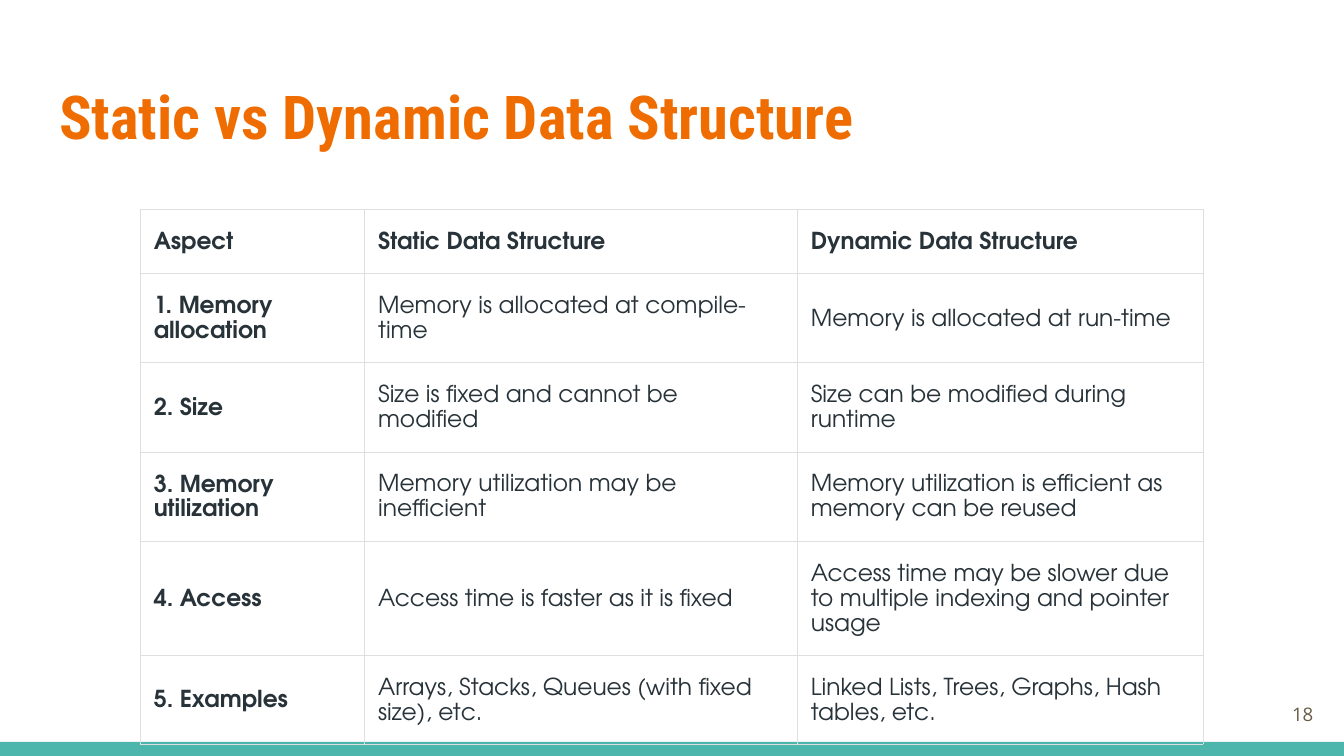
from lxml import etree
from pptx import Presentation
from pptx.dml.color import RGBColor
from pptx.enum.shapes import MSO_SHAPE
from pptx.enum.text import MSO_ANCHOR, PP_ALIGN
from pptx.oxml.ns import qn
from pptx.util import Inches, Pt

RECTANGLE = MSO_SHAPE.RECTANGLE
TOP, MIDDLE = MSO_ANCHOR.TOP, MSO_ANCHOR.MIDDLE
LEFT, RIGHT = PP_ALIGN.LEFT, PP_ALIGN.RIGHT
TITLE_ONLY_LAYOUT = 5

COLORS = {
    "title": "EF6C00",
    "bar": "4DB6AC",
    "table_text": "273239",
    "border": "DFDFDF",
    "number": "695D46",
}
COLUMN_WIDTHS = (1.67, 3.22, 3.02)
ROW_HEIGHT = 0.42
ROWS = [
    ("Aspect", "Static Data Structure", "Dynamic Data Structure"),
    ("1. Memory allocation", "Memory is allocated at compile-time",
     "Memory is allocated at run-time"),
    ("2. Size", "Size is fixed and cannot be modified",
     "Size can be modified during runtime"),
    ("3. Memory utilization", "Memory utilization may be inefficient",
     "Memory utilization is efficient as memory can be reused"),
    ("4. Access", "Access time is faster as it is fixed",
     "Access time may be slower due to multiple indexing and pointer usage"),
    ("5. Examples", "Arrays, Stacks, Queues (with fixed size), etc.",
     "Linked Lists, Trees, Graphs, Hash tables, etc."),
]


def color(name):
    return RGBColor.from_string(COLORS[name])


def style_paragraph(paragraph, font_name, size, color_name, bold=False, align=LEFT):
    paragraph.alignment = align
    font = paragraph.font
    font.name, font.size, font.bold = font_name, Pt(size), bold
    font.color.rgb = color(color_name)


def fill_frame(frame, text, anchor):
    """Put text in a wrapping frame with equal insets; return its paragraph."""
    frame.text = text
    frame.word_wrap = True
    frame.vertical_anchor = anchor
    frame.margin_left = frame.margin_right = Inches(0.1)
    frame.margin_top = frame.margin_bottom = Inches(0.1)
    return frame.paragraphs[0]


def add_bottom_bar(slide, left, top, width, height):
    bar = slide.shapes.add_shape(
        RECTANGLE, Inches(left), Inches(top), Inches(width), Inches(height))
    bar.shadow.inherit = False
    bar.fill.solid()
    bar.fill.fore_color.rgb = color("bar")
    bar.line.fill.background()


def place_title(slide, left, top, width, height, text):
    title = slide.shapes.title
    title.left, title.top = Inches(left), Inches(top)
    title.width, title.height = Inches(width), Inches(height)
    paragraph = fill_frame(title.text_frame, text, TOP)
    style_paragraph(paragraph, "Roboto Condensed", 32.4, "title", bold=True)


def set_borders(cell, color_name, width):
    properties = cell._tc.get_or_add_tcPr()
    for side in ("a:lnL", "a:lnR", "a:lnT", "a:lnB"):
        line = etree.SubElement(properties, qn(side), w=str(Pt(width)))
        fill = etree.SubElement(line, qn("a:solidFill"))
        etree.SubElement(fill, qn("a:srgbClr"), val=COLORS[color_name])


def add_comparison_table(slide, left, top):
    frame = slide.shapes.add_table(
        len(ROWS), len(COLUMN_WIDTHS), Inches(left), Inches(top),
        Inches(sum(COLUMN_WIDTHS)), Inches(ROW_HEIGHT * len(ROWS)))
    table = frame.table
    table.horz_banding = False
    table.first_row = False
    for column, width in zip(table.columns, COLUMN_WIDTHS):
        column.width = Inches(width)
    for row_index, texts in enumerate(ROWS):
        table.rows[row_index].height = Inches(ROW_HEIGHT)
        for column_index, text in enumerate(texts):
            cell = table.cell(row_index, column_index)
            cell.text = text
            cell.vertical_anchor = MIDDLE
            cell.margin_left = cell.margin_right = Pt(7.5)
            cell.margin_top = cell.margin_bottom = Pt(10.5)
            set_borders(cell, "border", 0.22)
            cell.fill.background()
            paragraph = cell.text_frame.paragraphs[0]
            paragraph.line_spacing = 1.15
            is_heading = row_index == 0 or column_index == 0
            style_paragraph(paragraph, "TeX Gyre Adventor", 12.5, "table_text",
                            bold=is_heading)


def add_slide_number(slide, left, top, width, height, number):
    box = slide.shapes.add_textbox(
        Inches(left), Inches(top), Inches(width), Inches(height))
    paragraph = fill_frame(box.text_frame, number, MIDDLE)
    style_paragraph(paragraph, "Open Sans", 10, "number", align=RIGHT)


def main():
    presentation = Presentation()
    presentation.slide_width = Inches(10)
    presentation.slide_height = Inches(10 * 9 / 16)
    slide = presentation.slides.add_slide(
        presentation.slide_layouts[TITLE_ONLY_LAYOUT])
    add_bottom_bar(slide, 0, 5.52, 10, 0.11)
    place_title(slide, 0.34, 0.49, 9.32, 0.77, "Static vs Dynamic Data Structure")
    add_comparison_table(slide, 1.04, 1.56)
    add_slide_number(slide, 9.27, 5.1, 0.6, 0.43, "18")
    presentation.save("out.pptx")


if __name__ == "__main__":
    main()
